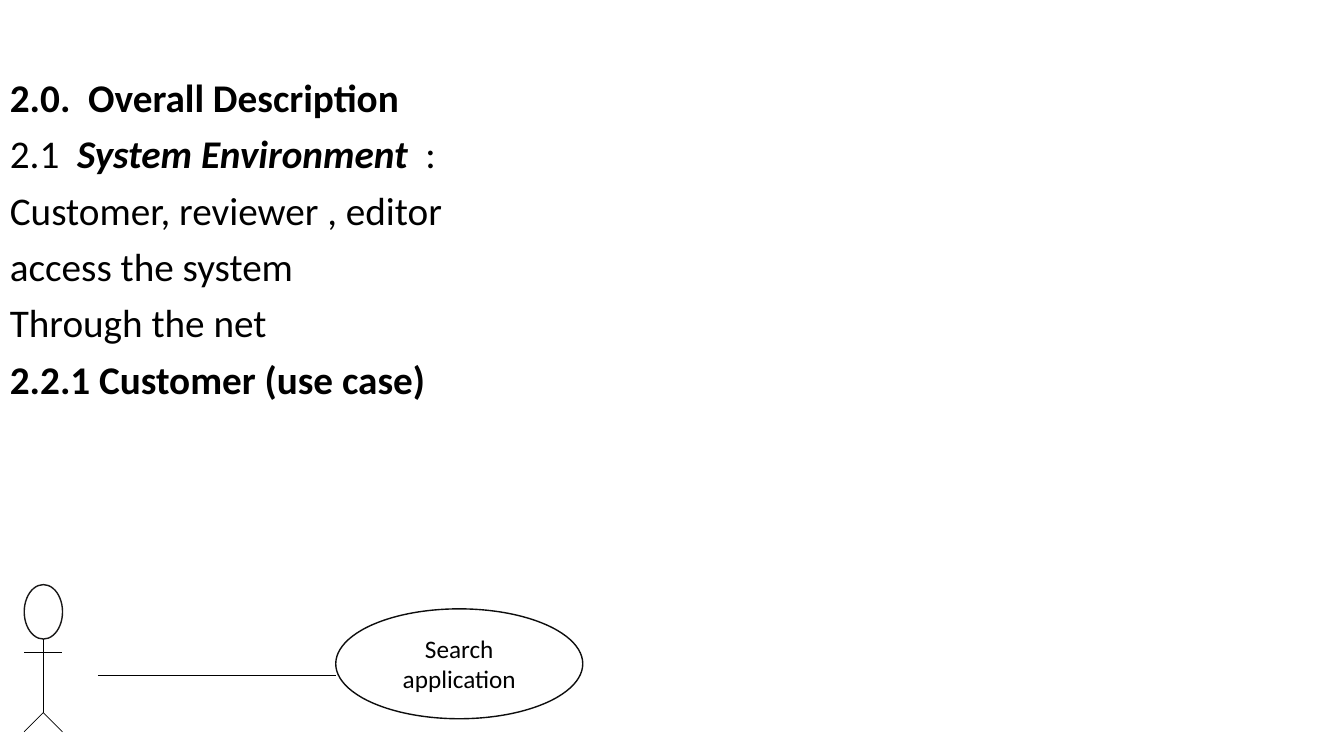
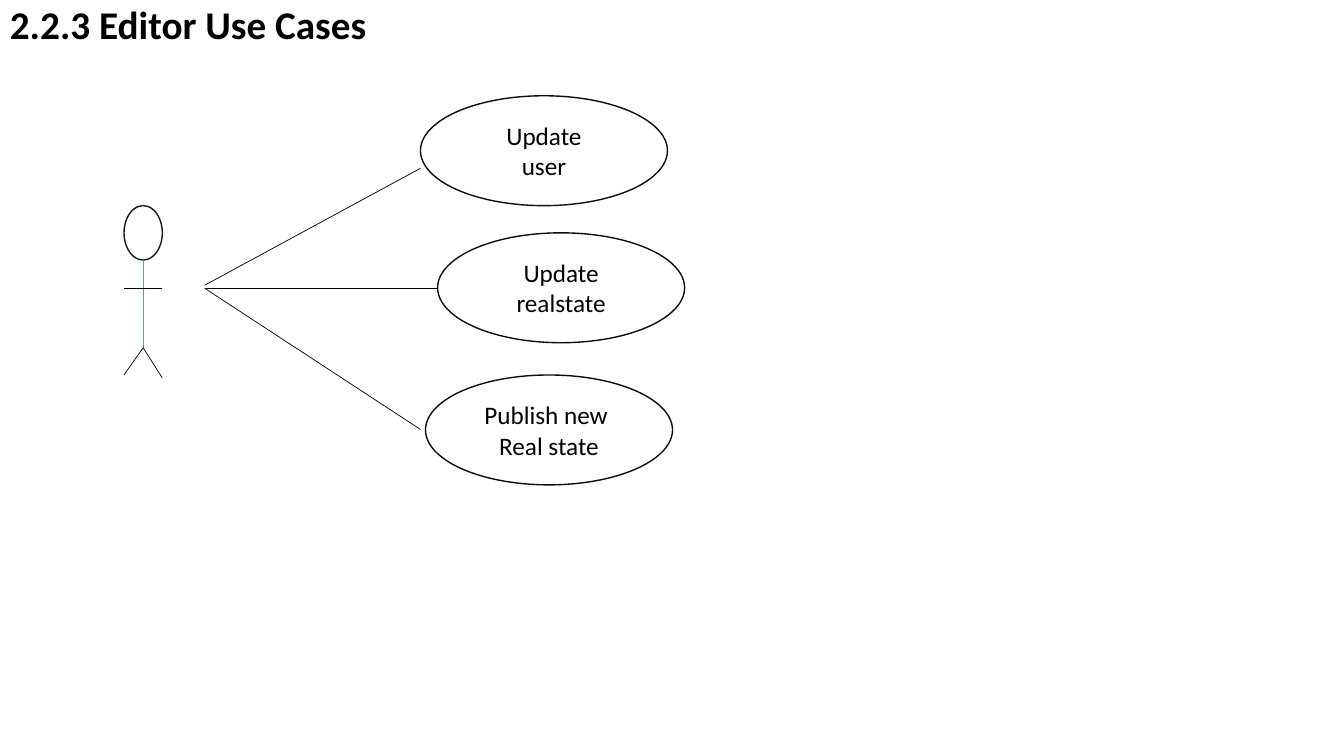
from dataclasses import dataclass

from lxml import etree
from pptx import Presentation
from pptx.dml.color import RGBColor
from pptx.enum import shapes, text
from pptx.oxml import ns
from pptx.util import Inches, Pt


@dataclass(frozen=True)
class Theme:
    """Colours, type sizes and line widths."""
    font: str = "Calibri"
    ink: str = "000000"
    paper: str = "FFFFFF"
    head: str = "181717"
    rim: str = "0D0D0D"
    blue: str = "5B9BD5"
    body: int = 28
    label: int = 18
    thin: float = 0.5
    edge: float = 1


class Deck:
    """Draws headings, actors and use cases on the current slide."""

    def __init__(self, theme):
        self.theme = theme
        self.show = Presentation()
        self.show.slide_width = Inches(13.33)
        self.show.slide_height = Inches(7.5)

    def page(self):
        """Start a blank slide."""
        self.slide = self.show.slides.add_slide(self.show.slide_layouts[6])
        fill = self.slide.background.fill
        fill.solid()
        fill.fore_color.rgb = RGBColor.from_string(self.theme.paper)

    def words(self, frame, rows, size, form):
        """Fill a frame with rows of (words, style) runs."""
        frame.word_wrap = True
        for i, row in enumerate(rows):
            para = frame.paragraphs[0] if i == 0 else frame.add_paragraph()
            for key, value in form.items():
                setattr(para, key, value)
            for words, style in row:
                run = para.add_run()
                run.text = words
                look = {"name": self.theme.font, "size": Pt(size),
                        "bold": "b" in style, "italic": "i" in style}
                for key, value in look.items():
                    setattr(run.font, key, value)
                run.font.color.rgb = RGBColor.from_string(self.theme.ink)

    def body(self, top, rows):
        """Add the body text from a given top to the slide foot."""
        box = self.slide.shapes.add_textbox(
            0, Inches(top), Inches(13.33), Inches(7.5 - top))
        form = {"alignment": text.PP_ALIGN.LEFT, "line_spacing": 0.9,
                "space_before": Pt(10)}
        self.words(box.text_frame, rows, self.theme.body, form)

    def oval(self, x, y, wide, high, tint):
        """Add an outlined white ellipse."""
        oval = self.slide.shapes.add_shape(
            shapes.MSO_SHAPE.OVAL, *map(Inches, (x, y, wide, high)))
        oval.shadow.inherit = False
        oval.fill.solid()
        oval.fill.fore_color.rgb = RGBColor.from_string(self.theme.paper)
        oval.line.color.rgb = RGBColor.from_string(tint)
        oval.line.width = Pt(self.theme.edge)
        return oval

    def case(self, x, y, *labels):
        """Add a use case with one paragraph for each label line."""
        frame = self.oval(x, y, 2.45, 1.09, self.theme.rim).text_frame
        frame.vertical_anchor = text.MSO_ANCHOR.MIDDLE
        rows = [[(label, "")] for label in labels]
        self.words(frame, rows, self.theme.label,
                   {"alignment": text.PP_ALIGN.CENTER})

    def line(self, start, end, tint=None):
        """Add a thin straight line."""
        line = self.slide.shapes.add_connector(
            shapes.MSO_CONNECTOR.STRAIGHT, *map(Inches, (*start, *end)))
        line.line.color.rgb = RGBColor.from_string(tint or self.theme.ink)
        line.line.width = Pt(self.theme.thin)
        etree.SubElement(line._element.spPr, ns.qn("a:effectLst"))

    def actor(self, x, y, arm, hip, feet, tint=None):
        """Add a stick figure whose head starts at x, y."""
        mid, right, neck = x + 0.19, x + 0.38, y + 0.54
        self.oval(x, y, 0.38, 0.54, self.theme.head)
        self.line((mid, neck), (mid, hip), tint)
        self.line((x, arm), (right, arm))
        for side, foot in zip((x, right), feet):
            self.line((mid, hip), (side, foot))


theme = Theme()
deck = Deck(theme)

deck.page()
deck.body(0.73, [
    [("2.0.  Overall Description", "b")],
    [("2.1  ", ""), ("System Environment  ", "bi"), (":", "")],
    [("Customer, reviewer , editor", "")],
    [("access the system", "")],
    [("Through the net", "")],
    [("2.2.1 Customer (use case)", "b")],
])
deck.actor(0.24, 5.8, 6.47, 7.07, (7.26, 7.26))
deck.line((0.97, 6.7), (3.33, 6.7))
deck.case(3.33, 6.04, "Search", "application")

deck.page()
deck.body(0.01, [[("2.2.3 Editor Use Cases", "b")]])
deck.actor(1.23, 2.04, 2.86, 3.45, (3.72, 3.75), theme.blue)
for start, end in (((2.03, 2.83), (4.17, 1.67)),
                   ((2.04, 2.86), (4.33, 2.86)),
                   ((2.03, 2.86), (4.17, 4.26))):
    deck.line(start, end)
deck.case(4.17, 0.95, "Update", "user")
deck.case(4.22, 3.72, "Publish new ", "Real state")
deck.case(4.34, 2.31, "Update", "realstate")

deck.show.save("out.pptx")
